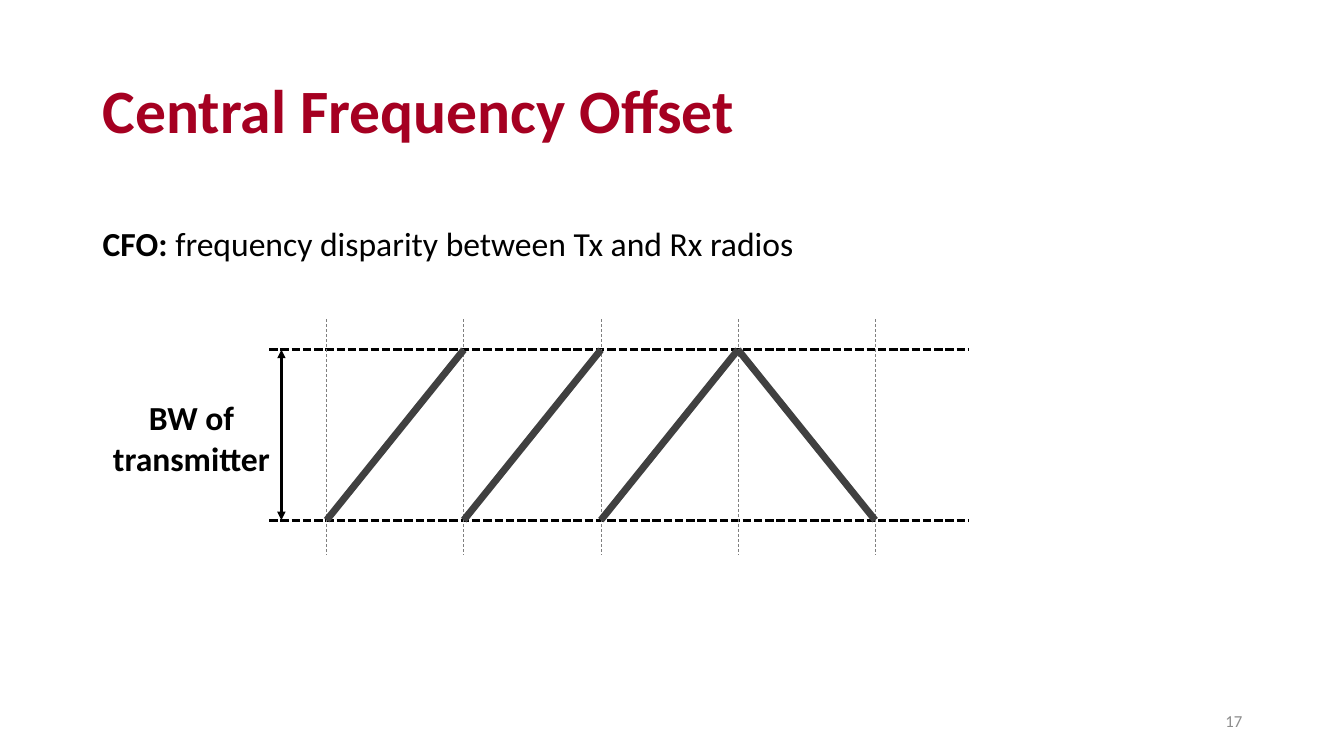
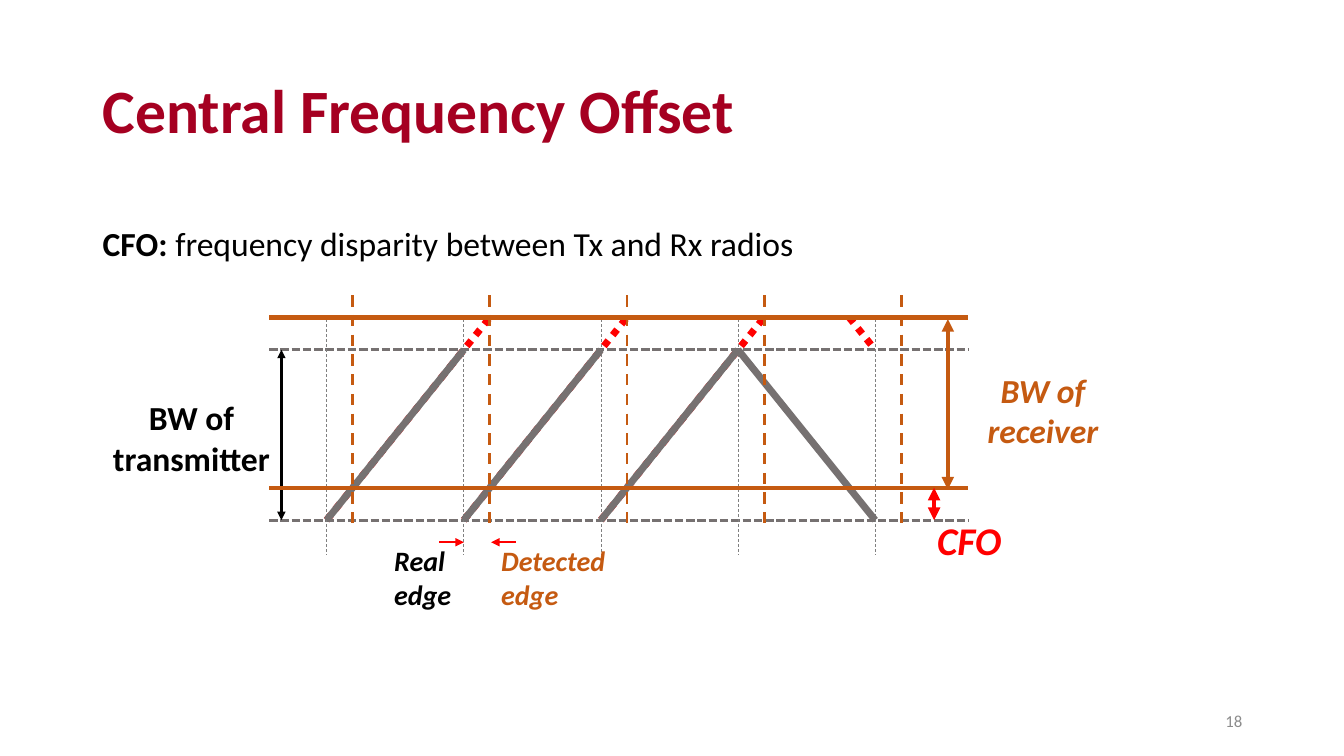
from dataclasses import dataclass

from lxml import etree
from pptx import Presentation
from pptx.dml.color import RGBColor
from pptx.enum.dml import MSO_LINE
from pptx.enum.shapes import MSO_CONNECTOR
from pptx.enum.text import MSO_ANCHOR, PP_ALIGN
from pptx.oxml.ns import qn
from pptx.util import Inches, Pt

STRAIGHT = MSO_CONNECTOR.STRAIGHT
DASH, SHORT_DASH, DOT = MSO_LINE.DASH, MSO_LINE.SQUARE_DOT, MSO_LINE.ROUND_DOT
LEFT, CENTER, RIGHT = PP_ALIGN.LEFT, PP_ALIGN.CENTER, PP_ALIGN.RIGHT
TOP, MIDDLE = MSO_ANCHOR.TOP, MSO_ANCHOR.MIDDLE

COLORS = {
    "title": "A50021",
    "text": "000000",
    "page": "8C8C8C",
    "guide": "808080",
    "chirp": "404040",
    "faded": "767171",
    "receiver": "C55A11",
    "offset": "FF0000",
}
FONT = "Calibri"
SLIDE_W, SLIDE_H = 13.33, 7.5
PERIODS = 4
OFFSET = 0.19
BAND_START, BAND_END = -0.42, 4.68
CHIRPS = [(0, 0, 1, 1), (1, 0, 2, 1), (2, 0, 3, 1), (3, 1, 4, 0)]


@dataclass
class Box:
    left: float
    top: float
    width: float
    height: float

    def x(self, column):
        return self.left + column * self.width / PERIODS

    def y(self, row):
        return self.top + (1 - row) * self.height


TITLE_BOX = Box(0.92, 0.4, 11.5, 1.45)
PAGE_BOX = Box(9.42, 6.95, 3, 0.4)
LEAD_BOX = Box(0.92, 2.16, 7.11, 0.5)
PLOT_BOX = Box(3.24, 3.47, 5.44, 1.69)


def add_text(slide, box, runs, size, color, align=LEFT, anchor=TOP,
             italic=False, wrap=True, spacing=1):
    sp = slide.shapes.add_textbox(*map(Inches, (box.left, box.top, box.width, box.height)))
    tf = sp.text_frame
    tf.word_wrap = wrap
    tf.vertical_anchor = anchor
    p = tf.paragraphs[0]
    p.alignment = align
    p.line_spacing = spacing
    for text, bold in runs:
        r = p.add_run()
        r.text = text
        r.font.name = FONT
        r.font.size = Pt(size)
        r.font.bold = bold
        r.font.italic = italic
        r.font.color.rgb = RGBColor.from_string(COLORS[color])


def add_line(slide, box, ends, color, width, dash=None, arrows=()):
    c1, r1, c2, r2 = ends
    points = box.x(c1), box.y(r1), box.x(c2), box.y(r2)
    line = slide.shapes.add_connector(STRAIGHT, *map(Inches, points))
    line.line.color.rgb = RGBColor.from_string(COLORS[color])
    line.line.width = Pt(width)
    if dash is not None:
        line.line.dash_style = dash
    props = line.element.spPr
    for end in arrows:
        etree.SubElement(props.find(qn("a:ln")), qn(f"a:{end}"), type="triangle")
    etree.SubElement(props, qn("a:effectLst"))


def add_label(slide, box, column, row, width, height, text, size, color, **style):
    place = Box(box.x(column), box.y(row), width, height)
    add_text(slide, place, [(text, True)], size, color, **style)


def add_guides(slide, box, shift, low, high, color, width):
    for column in range(PERIODS + 1):
        x = column + shift
        add_line(slide, box, (x, high, x, low), color, width, DASH)


def add_band(slide, box, shift, color, width, dash=None):
    for row in (1, 0):
        y = row + shift
        add_line(slide, box, (BAND_START, y, BAND_END, y), color, width, dash)


def add_span(slide, box, column, low, high, color, width):
    add_line(slide, box, (column, high, column, low), color, width,
             arrows=("headEnd", "tailEnd"))


def draw_frame(slide, page):
    add_text(slide, TITLE_BOX, [("Central Frequency Offset", True)], 44, "title",
             anchor=MIDDLE, spacing=0.9)
    add_text(slide, PAGE_BOX, [(str(page), False)], 12, "page", RIGHT, MIDDLE)
    add_text(slide, LEAD_BOX,
             [("CFO: ", True), ("frequency disparity between Tx and Rx radios", False)],
             24, "text", wrap=False)


def draw_transmitter(slide, box, band_color, chirp_color):
    add_band(slide, box, 0, band_color, 2, SHORT_DASH)
    add_guides(slide, box, 0, -0.2, 1.18, "guide", 0.5)
    for ends in CHIRPS:
        add_line(slide, box, ends, chirp_color, 5)
    add_span(slide, box, -0.33, 0, 1, "text", 2)
    add_label(slide, box, -1.67, 0.75, 1.86, 0.91, "BW of transmitter", 24, "text",
              align=CENTER)


def draw_extensions(slide, box):
    for column in range(PERIODS - 1):
        ends = (column, 0, column + 1 + OFFSET, 1 + OFFSET)
        add_line(slide, box, ends, "offset", 5, DOT)
    add_line(slide, box, (PERIODS - OFFSET, 1 + OFFSET, PERIODS, 1), "offset", 5, DOT)


def draw_receiver(slide, box):
    add_band(slide, box, OFFSET, "receiver", 3)
    add_span(slide, box, 4.53, OFFSET - 0.01, 1 + OFFSET - 0.01, "receiver", 3)
    add_label(slide, box, 4.54, 0.91, 1.86, 0.91, "BW of receiver", 24, "receiver",
              align=CENTER, italic=True)
    add_guides(slide, box, OFFSET, -0.05, 1.32, "receiver", 2)


def draw_offset(slide, box):
    add_span(slide, box, 4.43, 0, OFFSET, "offset", 3)
    add_label(slide, box, 4.38, 0.05, 0.85, 0.57, "CFO", 28, "offset",
              italic=True, wrap=False)
    edges = [
        (0.82, 1, 0.42, 0.87, "Real edge", "text"),
        (1.38, 1.2, 1.2, 1.68, "Detected edge", "receiver"),
    ]
    for start, edge, column, width, text, color in edges:
        add_line(slide, box, (start, -0.13, edge, -0.13), "offset", 1.5,
                 arrows=("tailEnd",))
        add_label(slide, box, column, -0.11, width, 0.77, text, 20, color, italic=True)


def build_transmitter_slide(slide):
    draw_frame(slide, 17)
    draw_transmitter(slide, PLOT_BOX, "text", "chirp")


def build_offset_slide(slide):
    draw_extensions(slide, PLOT_BOX)
    draw_frame(slide, 18)
    draw_transmitter(slide, PLOT_BOX, "faded", "faded")
    draw_receiver(slide, PLOT_BOX)
    draw_offset(slide, PLOT_BOX)


def main():
    prs = Presentation()
    prs.slide_width, prs.slide_height = Inches(SLIDE_W), Inches(SLIDE_H)
    for build in (build_transmitter_slide, build_offset_slide):
        build(prs.slides.add_slide(prs.slide_layouts[6]))
    prs.save("out.pptx")


if __name__ == "__main__":
    main()
